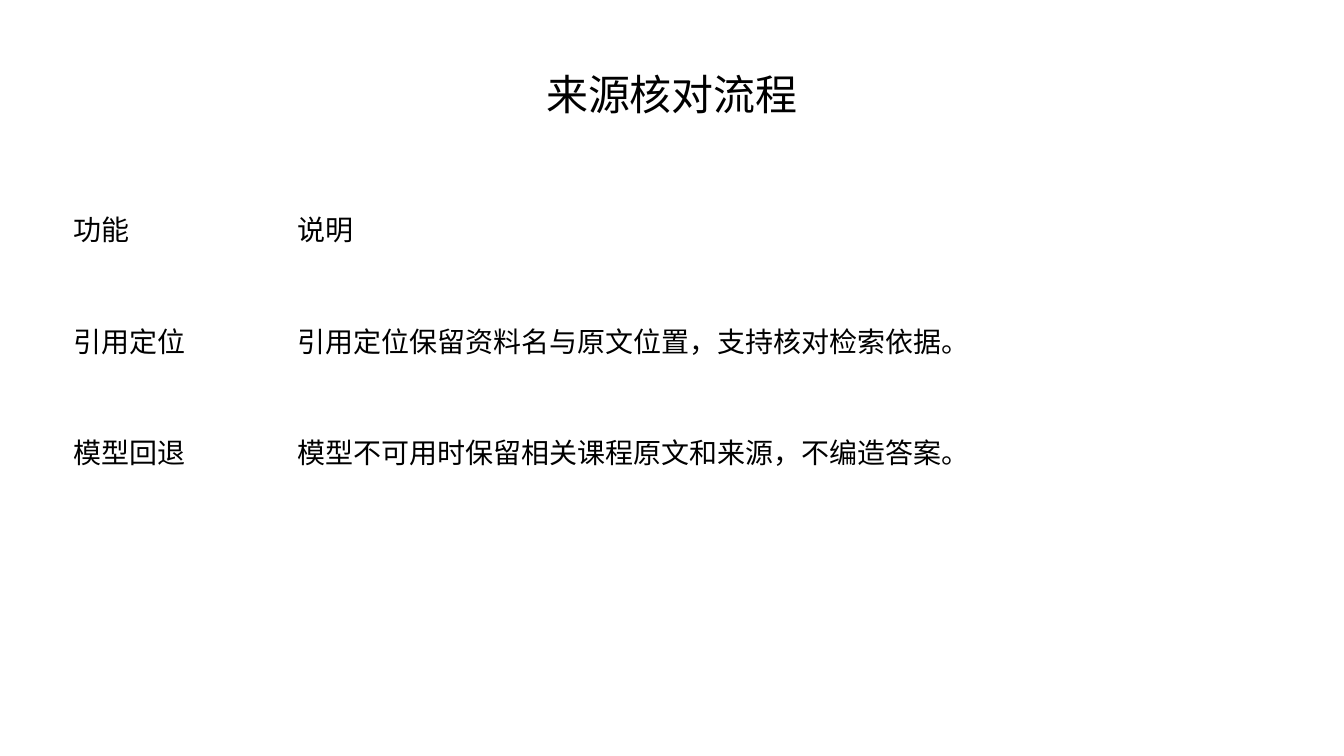
import pptx
import pptx.dml.color
import pptx.enum.text
import pptx.oxml
import pptx.oxml.ns
import pptx.util
from pptx.util import Inches

FONT = "Noto Sans CJK SC"
ROWS = [
    ("功能", "说明"),
    ("引用定位", "引用定位保留资料名与原文位置，支持核对检索依据。"),
    ("模型回退", "模型不可用时保留相关课程原文和来源，不编造答案。"),
]


def color(value):
    return pptx.dml.color.RGBColor.from_string(value)


class SlideBuilder:
    def __init__(self, page, font, ink):
        self.page = page
        self.font = font
        self.ink = ink

    def add_span(self, para, text, size):
        span = para.add_run()
        span.text = text
        span.font.size = pptx.util.Pt(size)
        span.font.color.rgb = color(self.ink)
        span.font.name = self.font
        # East Asian glyphs need their own typeface entry
        east_asian = pptx.oxml.parse_xml(
            f'<a:ea {pptx.oxml.ns.nsdecls("a")} typeface="{self.font}"/>')
        span.font._element.append(east_asian)

    def add_title(self, text, left, top, width, height, size):
        box = self.page.shapes.add_textbox(
            Inches(left), Inches(top), Inches(width), Inches(height))
        box.text_frame.word_wrap = True
        para = box.text_frame.paragraphs[0]
        para.alignment = pptx.enum.text.PP_ALIGN.CENTER
        self.add_span(para, text, size)

    def add_grid(self, rows, left, top, widths, row_height, size):
        table = self.page.shapes.add_table(
            len(rows), len(widths), Inches(left), Inches(top),
            Inches(sum(widths)), Inches(row_height * len(rows))).table
        table.first_row = False
        table.horz_banding = False
        for column, width in zip(table.columns, widths):
            column.width = Inches(width)
        for line, texts in zip(table.rows, rows):
            line.height = Inches(row_height)
            for cell, text in zip(line.cells, texts):
                cell.fill.background()
                self.add_span(cell.text_frame.paragraphs[0], text, size)


def main():
    deck = pptx.Presentation()
    deck.slide_width = Inches(13.34)
    deck.slide_height = Inches(7.5)
    page = deck.slides.add_slide(deck.slide_layouts[6])
    page.background.fill.solid()
    page.background.fill.fore_color.rgb = color("FFFFFF")
    builder = SlideBuilder(page, FONT, "000000")

    # Heading
    builder.add_title("来源核对流程", 0.63, 0.63, 12.08, 0.9, 30)

    # Functions and what they do
    builder.add_grid(ROWS, 0.63, 2.01, (2.22, 9.86), 1.11, 20)

    deck.save("out.pptx")


if __name__ == "__main__":
    main()
